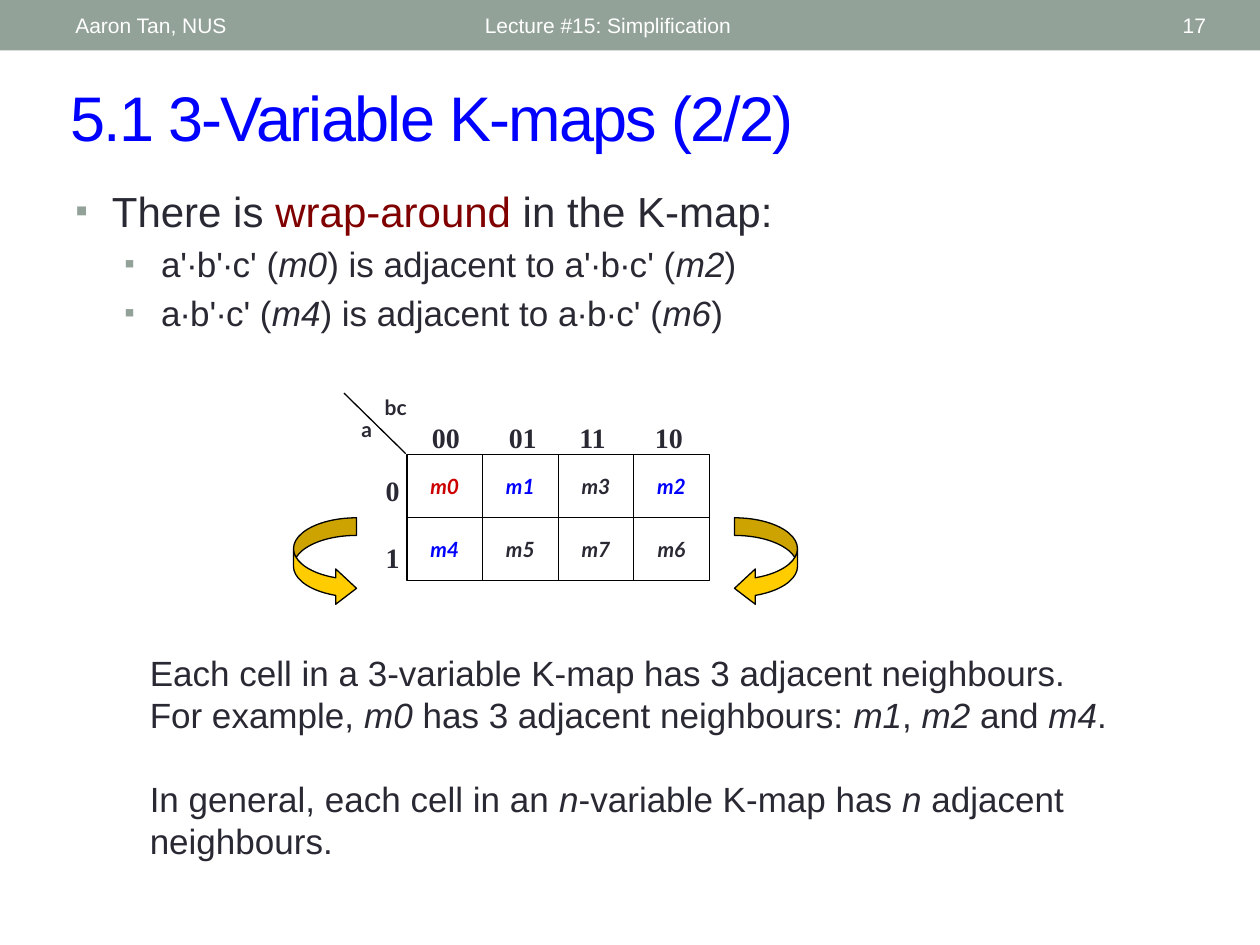
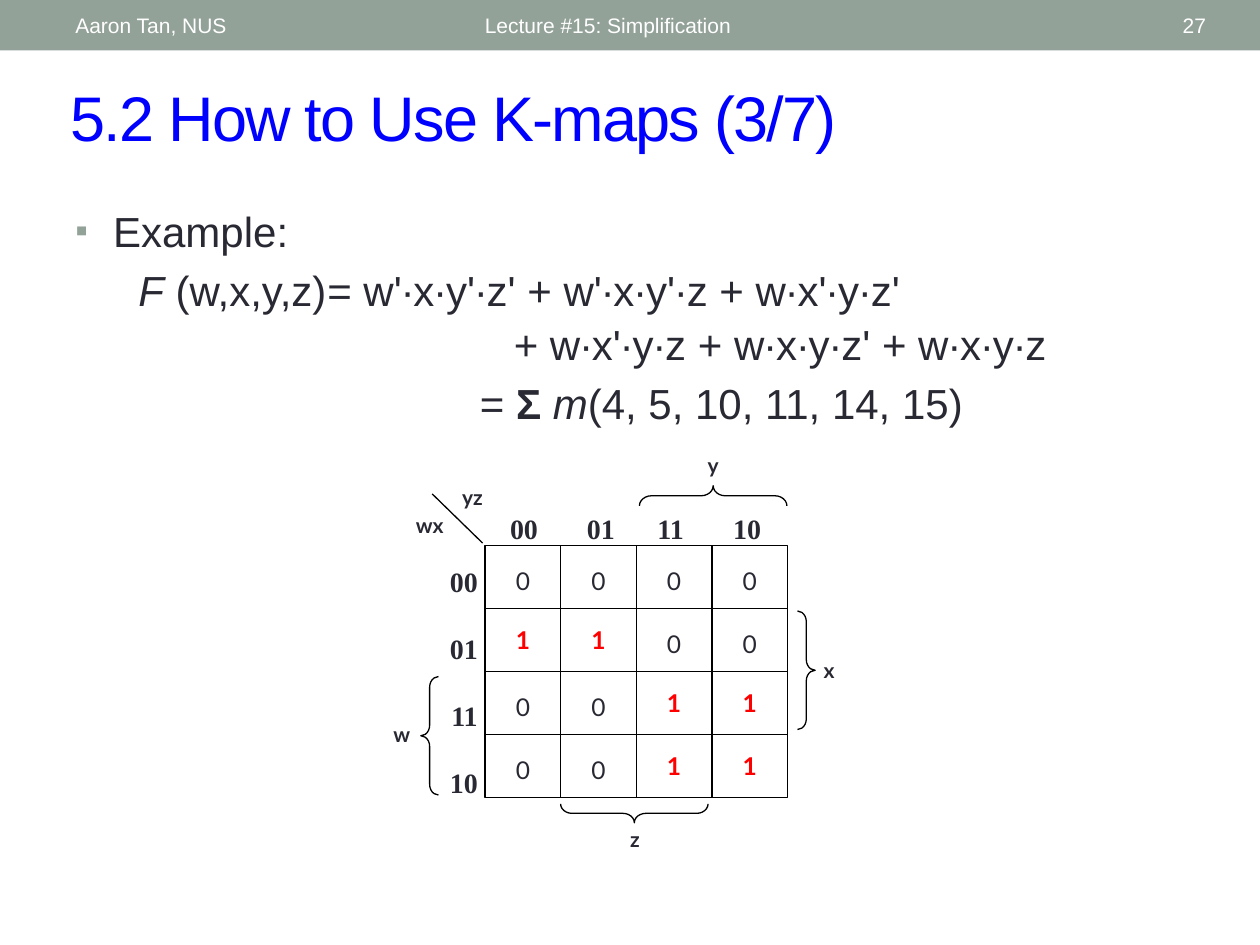
from dataclasses import dataclass

import pptx
import pptx.dml.color
import pptx.enum.shapes
import pptx.enum.text
import pptx.oxml
import pptx.oxml.ns
import pptx.util
from lxml import etree

RGBColor = pptx.dml.color.RGBColor
ALIGN = pptx.enum.text.PP_ALIGN
SHAPE = pptx.enum.shapes.MSO_SHAPE

# Shared look
BAND = RGBColor(0x93, 0xA2, 0x99)
INK = RGBColor(0x29, 0x29, 0x34)
BLUE = RGBColor(0x00, 0x00, 0xFF)
MAROON = RGBColor(0x80, 0x00, 0x00)
CRIMSON = RGBColor(0xCC, 0x00, 0x00)
RED = RGBColor(0xFF, 0x00, 0x00)
GOLD = RGBColor(0xFF, 0xCC, 0x00)
BLACK = RGBColor(0x00, 0x00, 0x00)
WHITE = RGBColor(0xFF, 0xFF, 0xFF)
BODY, CELL, CODE = "Arial", "Lato", "Times New Roman"
LINE_FACTOR = 1.2

# 100 px to the inch
PX = 9144
CELL_W, CELL_H = 60, 50


def px(n: int) -> int:
    return n * PX


@dataclass
class Box:
    left: int
    top: int
    width: int
    height: int

    def emu(self) -> list[int]:
        return [px(n) for n in (self.left, self.top, self.width, self.height)]


@dataclass
class Style:
    size: int
    font: str = BODY
    color: RGBColor = INK
    bold: bool = False
    italic: bool = False
    align: ALIGN = ALIGN.LEFT


@dataclass
class Para:
    """In text, |iword| is italic, |bword| bold and |cword| maroon."""
    text: str
    size: int
    before: float = 0
    margin: int = 0
    indent: int = 0
    bullet: bool = False
    tabs: tuple[int, ...] = ()


@dataclass
class KMap:
    left: int
    top: int
    col_codes: list[str]
    row_codes: list[str]
    corner_dx: int
    corner_dy: int
    corner_gap: int


@dataclass
class Mark:
    """A brace or a wrap-around arrow."""
    kind: SHAPE
    box: Box
    adjust: tuple[float, ...]
    rotation: int = 0
    flip: bool = False
    fill: RGBColor | None = None


VAR = Style(12, CELL, bold=True, align=ALIGN.CENTER)
AXIS = Style(16, CODE, bold=True)
AXIS_RIGHT = Style(16, CODE, bold=True, align=ALIGN.RIGHT)
HEAD = Style(12, color=WHITE)
HEAD_RIGHT = Style(12, color=WHITE, align=ALIGN.RIGHT)


# Text
def style_run(r, style: Style) -> None:
    r.font.name = style.font
    r.font.size = pptx.util.Pt(style.size)
    r.font.color.rgb = style.color
    r.font.bold = style.bold
    r.font.italic = style.italic


def add_frame(s, box: Box):
    tf = s.shapes.add_textbox(*box.emu()).text_frame
    tf.word_wrap = True
    return tf


def add_label(s, box: Box, text: str, style: Style, middle: bool = False):
    tf = add_frame(s, box)
    if middle:
        tf.vertical_anchor = pptx.enum.text.MSO_ANCHOR.MIDDLE
    tf.text = text
    for p in tf.paragraphs:
        p.alignment = style.align
        for r in p.runs:
            style_run(r, style)
    return tf


def set_tabs(p, stops: tuple[int, ...]) -> None:
    tab_list = etree.SubElement(p._p.get_or_add_pPr(), pptx.oxml.ns.qn("a:tabLst"))
    for stop in stops:
        etree.SubElement(tab_list, pptx.oxml.ns.qn("a:tab"), pos=str(px(stop)), algn="l")


def set_bullet(p) -> None:
    ns = pptx.oxml.ns.nsdecls("a")
    for xml in (f'<a:buClr {ns}><a:srgbClr val="{BAND}"/></a:buClr>',
                f'<a:buSzPct {ns} val="85000"/>',
                f'<a:buFont {ns} typeface="{BODY}"/>',
                f'<a:buChar {ns} char="▪"/>'):
        p._p.get_or_add_pPr().append(pptx.oxml.parse_xml(xml))


def add_body(s, box: Box, paras: list[Para]) -> None:
    tf = add_frame(s, box)
    for i, para in enumerate(paras):
        p = tf.add_paragraph() if i else tf.paragraphs[0]
        p.line_spacing = pptx.util.Pt(LINE_FACTOR * para.size)
        p.space_before = pptx.util.Pt(para.before)
        pPr = p._p.get_or_add_pPr()
        pPr.set("marL", str(px(para.margin)))
        pPr.set("indent", str(px(para.indent)))
        if para.bullet:
            set_bullet(p)
        if para.tabs:
            set_tabs(p, para.tabs)
        for j, part in enumerate(para.text.split("|")):
            key, text = (part[0], part[1:]) if j % 2 else ("", part)
            if text:
                r = p.add_run()
                r.text = text
                style_run(r, Style(para.size, color=MAROON if key == "c" else INK,
                                   bold=key == "b", italic=key == "i"))


# Lines and shapes
def add_line(s, x1: int, y1: int, x2: int, y2: int) -> None:
    c = s.shapes.add_connector(pptx.enum.shapes.MSO_CONNECTOR.STRAIGHT,
                               px(x1), px(y1), px(x2), px(y2))
    c.line.color.rgb = BLACK
    c.line.width = pptx.util.Pt(0.75)
    etree.SubElement(c._element.spPr, pptx.oxml.ns.qn("a:effectLst"))


def add_mark(s, mark: Mark) -> None:
    sp = s.shapes.add_shape(mark.kind, *mark.box.emu())
    sp.shadow.inherit = False
    for i, value in enumerate(mark.adjust):
        sp.adjustments[i] = value
    sp.rotation = mark.rotation
    if mark.flip:
        sp._element.spPr.xfrm.set("flipH", "1")
    if mark.fill is None:
        sp.fill.background()
    else:
        sp.fill.solid()
        sp.fill.fore_color.rgb = mark.fill
    sp.line.color.rgb = BLACK
    sp.line.width = pptx.util.Pt(0.75)


# Header band and title
def add_slide(prs, title: str, number: int):
    s = prs.slides.add_slide(prs.slide_layouts[6])
    band = s.shapes.add_shape(SHAPE.RECTANGLE, *Box(0, 0, 1000, 40).emu())
    band.shadow.inherit = False
    band.fill.solid()
    band.fill.fore_color.rgb = BAND
    band.line.fill.background()
    add_label(s, Box(50, 2, 317, 36), "Aaron Tan, NUS", HEAD, True)
    add_label(s, Box(375, 2, 450, 36), "Lecture #15: Simplification", HEAD, True)
    add_label(s, Box(872, 2, 95, 36), str(number), HEAD_RIGHT, True)
    tf = add_label(s, Box(46, 57, 907, 70), title, Style(36, color=BLUE), True)
    tf.paragraphs[0].runs[0].font._element.set("spc", "-100")
    return s


# Karnaugh map grid with its axis codes
def add_kmap(s, k: KMap) -> None:
    width, height = CELL_W * len(k.col_codes), CELL_H * len(k.row_codes)
    add_mark(s, Mark(SHAPE.RECTANGLE, Box(k.left, k.top, width, height), ()))
    for x in range(k.left + CELL_W, k.left + width, CELL_W):
        add_line(s, x, k.top, x, k.top + height)
    for y in range(k.top + CELL_H, k.top + height, CELL_H):
        add_line(s, k.left, y, k.left + width, y)
    x, y = k.left - k.corner_gap, k.top - k.corner_gap
    add_line(s, x, y, x - k.corner_dx, y - k.corner_dy)

    tf = add_label(s, Box(k.left + 10, k.top - 32, 224, 40), "\t".join(k.col_codes), AXIS)
    set_tabs(tf.paragraphs[0], (61, 117, 177))
    tf = add_label(s, Box(k.left - 40, k.top + 10, 44, height), "\n".join(k.row_codes), AXIS_RIGHT)
    for i, p in enumerate(tf.paragraphs):
        p.line_spacing = pptx.util.Pt(LINE_FACTOR * AXIS.size)
        p.space_before = pptx.util.Pt(LINE_FACTOR * AXIS.size if i else 0)


def add_cell(s, k: KMap, row: int, col: int, drop: int, text: str, style: Style) -> None:
    box = Box(k.left + CELL_W * col, k.top + CELL_H * row + drop, CELL_W, 40)
    add_label(s, box, text, style)


def build_wraparound(prs) -> None:
    s = add_slide(prs, "5.1 3-Variable K-maps (2/2)", 17)
    sub = dict(size=20, before=4, margin=68, indent=-29, bullet=True)
    add_body(s, Box(50, 142, 900, 153), [
        Para("There is |cwrap-around| in the K-map:", 24, margin=29, indent=-29, bullet=True),
        Para("a'∙b'∙c' (|im0|) is adjacent to a'∙b∙c' (|im2|)", **sub),
        Para("a∙b'∙c' (|im4|) is adjacent to a∙b∙c' (|im6|)", **sub),
    ])
    k = KMap(323, 361, ["00", "01", "11", "10"], ["0", "1"], 49, 48, 1)
    add_kmap(s, k)
    add_label(s, Box(269, 326, 44, 40), "a", VAR)
    add_label(s, Box(288, 308, 52, 32), "bc", VAR)

    # Minterms, with m0 and its neighbours coloured
    colors = {"m0": CRIMSON, "m1": BLUE, "m2": BLUE, "m4": BLUE}
    for row, terms in enumerate((["m0", "m1", "m3", "m2"], ["m4", "m5", "m7", "m6"])):
        for col, term in enumerate(terms):
            style = Style(12, CELL, colors.get(term, INK), True, True, ALIGN.CENTER)
            add_cell(s, k, row, col, 10, term, style)
    for left, flip in ((233, False), (583, True)):
        add_mark(s, Mark(SHAPE.CURVED_RIGHT_ARROW, Box(left, 411, 50, 70),
                         (0.28, 0.56, 0.33), flip=flip, fill=GOLD))
    add_body(s, Box(109, 512, 788, 173), [
        Para("Each cell in a 3-variable K-map has 3 adjacent neighbours. For example, |im0|"
             " has 3 adjacent neighbours: |im1|, |im2| and |im4|.", 20),
        Para("In general, each cell in an |in|-variable K-map has |in| adjacent neighbours.",
             20, before=24),
    ])


def build_example(prs) -> None:
    s = add_slide(prs, "5.2 How to Use K-maps (3/7)", 27)
    add_body(s, Box(50, 158, 900, 210), [
        Para("Example:", 24, margin=30, indent=-30, bullet=True),
        Para("\t|iF| (w,x,y,z)\t= w'∙x∙y'∙z' + w'∙x∙y'∙z + w∙x'∙y∙z'", 24, 4.8, tabs=(129, 321)),
        Para("+ w∙x'∙y∙z + w∙x∙y∙z' + w∙x∙y∙z", 24, 2.4, margin=348),
        Para("= |bΣ ||im|(4, 5, 10, 11, 14, 15)", 24, 4.8, margin=321),
    ])
    codes = ["00", "01", "11", "10"]
    k = KMap(385, 433, codes, codes, 40, 39, 2)
    add_kmap(s, k)

    # Function values
    one = Style(14, CELL, RED, bold=True, align=ALIGN.CENTER)
    zero = Style(14, CELL, align=ALIGN.CENTER)
    for row, values in enumerate(("0000", "1100", "0011", "0011")):
        for col, value in enumerate(values):
            drop, style = (8, one) if value == "1" else (11, zero)
            add_cell(s, k, row, col, drop, value, style)

    # Braces and variable names
    for box, rotation, flip in ((Box(334, 537, 14, 94), 0, False),
                                (Box(633, 485, 14, 94), 0, True),
                                (Box(558, 335, 16, 117), 90, False),
                                (Box(496, 587, 15, 117), 270, False)):
        add_mark(s, Mark(SHAPE.LEFT_BRACE, box, (0.6, 0.5), rotation, flip))
    for text, left, top in (("w", 297, 568), ("x", 636, 517), ("y", 544, 354),
                            ("z", 482, 651), ("wx", 319, 402), ("yz", 353, 380)):
        add_label(s, Box(left, top, 44, 40), text, VAR)


def main() -> None:
    prs = pptx.Presentation()
    prs.slide_width, prs.slide_height = px(1000), px(750)
    build_wraparound(prs)
    build_example(prs)
    prs.save("out.pptx")


if __name__ == "__main__":
    main()
